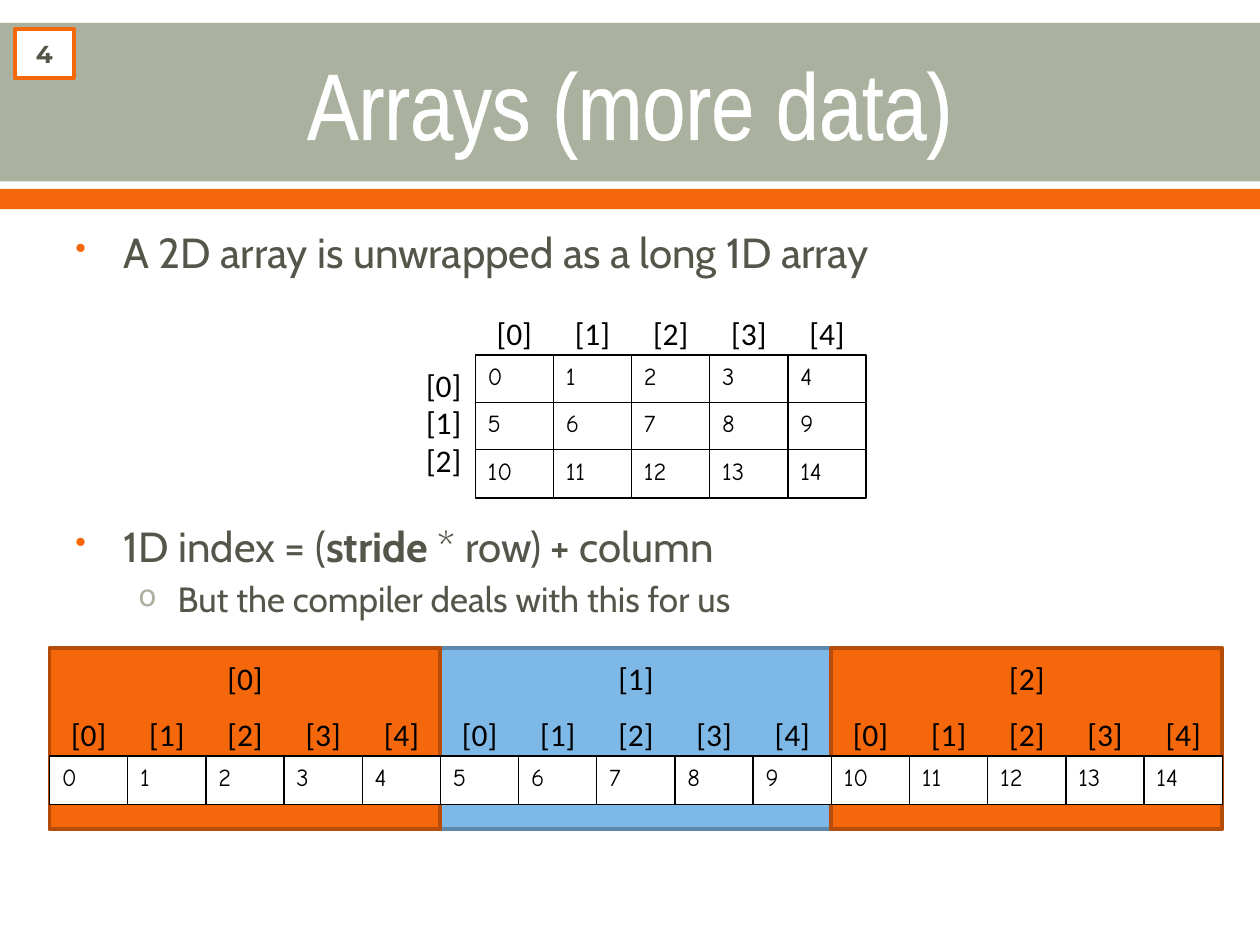
from dataclasses import dataclass

from lxml.etree import SubElement
from pptx import Presentation
from pptx.dml.color import RGBColor
from pptx.enum.shapes import MSO_SHAPE
from pptx.enum.text import MSO_ANCHOR, PP_ALIGN
from pptx.oxml.ns import qn
from pptx.util import Cm, Pt


@dataclass(frozen=True)
class Theme:
    """Colours, fonts and type sizes of the slide."""
    white: str = "FFFFFF"
    black: str = "000000"
    sage: str = "ABB19F"
    orange: str = "F4680B"
    dark_orange: str = "B54D08"
    blue: str = "7EB8E7"
    dark_blue: str = "5D88AB"
    ink: str = "55554A"
    title_font: str = "Arial Narrow"
    body_font: str = "Cabin"
    index_font: str = "Calibri"
    value_font: str = "Comic Neue"
    number_font: str = "Montserrat"
    title_size: int = 54
    body_size: int = 24
    sub_size: int = 20
    index_size: int = 18
    value_size: int = 14


THEME = Theme()
ROWS, STRIDE = 3, 5
BLOCK_WIDTH = 7.88
CELL_WIDTH, CELL_HEIGHT, ROW_PITCH = BLOCK_WIDTH / STRIDE, 0.98, 0.95
GRID_LEFT, GRID_TOP = 9.58, 7.16
FLAT_LEFT, FLAT_TOP = 1.0, 15.24


def style_runs(paragraph, font_name, size, color, bold=False):
    """Format every run of a paragraph."""
    for run in paragraph.runs:
        run.font.name = font_name
        run.font.size = Pt(size)
        run.font.bold = bold
        run.font.color.rgb = RGBColor.from_string(color)


def add_box(slide, left, top, width, height, fill, line=None, weight=2.22):
    """Add a flat rectangle, outlined when a line colour is given."""
    box = slide.shapes.add_shape(MSO_SHAPE.RECTANGLE, Cm(left), Cm(top), Cm(width), Cm(height))
    box.shadow.inherit = False
    box.fill.solid()
    box.fill.fore_color.rgb = RGBColor.from_string(fill)
    if line:
        box.line.color.rgb = RGBColor.from_string(line)
        box.line.width = Pt(weight)
    else:
        box.line.fill.background()
    return box


def write_in_box(box, text, font_name, size, color, align, anchor, bold=False):
    """Write one line of text inside a rectangle."""
    frame = box.text_frame
    frame.text = text
    frame.vertical_anchor = anchor
    frame.paragraphs[0].alignment = align
    style_runs(frame.paragraphs[0], font_name, size, color, bold)


def add_text_frame(slide, left, top, width, height):
    """Add a wrapping text box and return its frame."""
    frame = slide.shapes.add_textbox(Cm(left), Cm(top), Cm(width), Cm(height)).text_frame
    frame.word_wrap = True
    return frame


def add_heading(slide):
    """Add the two bands, the title over them and the slide number."""
    title = slide.shapes.title
    for top, height, color in ((0.46, 3.2, THEME.sage), (3.81, 0.41, THEME.orange)):
        band = add_box(slide, 0, top, 25.4, height, color)
        title.element.addprevious(band.element)
    title.left, title.top, title.width, title.height = Cm(1.27), Cm(0.51), Cm(22.86), Cm(3.1)
    write_in_box(title, "Arrays (more data)", THEME.title_font, THEME.title_size,
                 THEME.white, PP_ALIGN.CENTER, MSO_ANCHOR.MIDDLE)
    outline = title.text_frame.paragraphs[0].runs[0].font.fill
    run_properties = title.text_frame.paragraphs[0].runs[0]._r.get_or_add_rPr()
    outline = SubElement(run_properties, qn("a:ln"), w=str(Pt(1.1)))
    SubElement(SubElement(outline, qn("a:solidFill")), qn("a:srgbClr"), val=THEME.white)
    run_properties.insert(0, outline)
    number = add_box(slide, 0.3, 0.58, 1.19, 0.99, THEME.white, THEME.orange)
    write_in_box(number, "4", THEME.number_font, THEME.value_size, THEME.ink,
                 PP_ALIGN.CENTER, MSO_ANCHOR.MIDDLE, bold=True)


def add_bullet(paragraph, parts, size, space, margin, indent, mark, mark_color, mark_size):
    """Fill a bulleted paragraph from (text, bold) parts."""
    for text, bold in parts:
        run = paragraph.add_run()
        run.text = text
    style_runs(paragraph, THEME.body_font, size, THEME.ink)
    for run, (text, bold) in zip(paragraph.runs, parts):
        run.font.bold = bold
    paragraph.space_before = Pt(space)
    properties = paragraph._p.get_or_add_pPr()
    properties.set("marL", str(Cm(margin)))
    properties.set("indent", str(Cm(indent)))
    SubElement(SubElement(properties, qn("a:buClr")), qn("a:srgbClr"), val=mark_color)
    SubElement(properties, qn("a:buSzPct"), val=str(mark_size * 1000))
    SubElement(properties, qn("a:buChar"), char=mark)


def add_explanation(slide):
    """Add the bullets, leaving room for the grid after the first one."""
    frame = add_text_frame(slide, 1.27, 4.45, 22.86, 13.87)
    main_style = (0.97, -0.97, "•", THEME.orange, 75)
    sub_style = (2.06, -0.79, "o", THEME.sage, 85)
    formula = [("1D index = (", False), ("stride", True), (" * row) + column", False)]
    add_bullet(frame.paragraphs[0], [("A 2D array is unwrapped as a long 1D array", False)],
               THEME.body_size, 5, *main_style)
    add_bullet(frame.add_paragraph(), formula, THEME.body_size, 139, *main_style)
    add_bullet(frame.add_paragraph(), [("But the compiler deals with this for us", False)],
               THEME.sub_size, 4, *sub_style)


def add_cells(slide, left, top, first_value):
    """Add one row of array cells holding consecutive values."""
    for column in range(STRIDE):
        cell = add_box(slide, left + column * CELL_WIDTH, top, CELL_WIDTH, CELL_HEIGHT,
                       THEME.white, THEME.black, 0.75)
        write_in_box(cell, str(first_value + column), THEME.value_font, THEME.value_size,
                     THEME.black, PP_ALIGN.LEFT, MSO_ANCHOR.TOP)


def add_column_indices(slide, left, cells_top):
    """Add the column indices, each centred over its cell by a tab stop."""
    frame = add_text_frame(slide, left, cells_top - 1.06, BLOCK_WIDTH, 1.12)
    frame.margin_left = frame.margin_right = 0
    frame.margin_top = Cm(0.23)
    frame.text = "".join(f"\t[{column}]" for column in range(STRIDE))
    indices = frame.paragraphs[0]
    indices.alignment = PP_ALIGN.LEFT
    indices.space_before = Pt(1)
    style_runs(indices, THEME.index_font, THEME.index_size, THEME.black)
    stops = SubElement(indices._p.get_or_add_pPr(), qn("a:tabLst"))
    for column in range(STRIDE):
        SubElement(stops, qn("a:tab"), pos=str(Cm((column + 0.5) * CELL_WIDTH)), algn="ctr")


def add_grid(slide):
    """Add the two-dimensional array with its row and column indices."""
    frame = add_text_frame(slide, 7.47, 7.14, 2.26, 3.48)
    frame.margin_left = frame.margin_right = Cm(0.43)
    frame.margin_top = frame.margin_bottom = Cm(0.23)
    frame.text = "\n".join(f"[{row}]" for row in range(ROWS))
    for row_index in frame.paragraphs:
        row_index.alignment = PP_ALIGN.RIGHT
        style_runs(row_index, THEME.index_font, THEME.index_size, THEME.black)
    add_column_indices(slide, GRID_LEFT, GRID_TOP)
    for row in range(ROWS):
        add_cells(slide, GRID_LEFT, GRID_TOP + row * ROW_PITCH, row * STRIDE)


def add_flat_array(slide):
    """Add the unwrapped array, one coloured block for each row."""
    orange, blue = (THEME.orange, THEME.dark_orange), (THEME.blue, THEME.dark_blue)
    lefts = [FLAT_LEFT + row * BLOCK_WIDTH for row in range(ROWS)]
    for row, colors in ((1, blue), (2, orange), (0, orange)):
        block = add_box(slide, lefts[row], 13.06, BLOCK_WIDTH, 3.66, *colors)
        block.text_frame.margin_top = Cm(0.23)
        write_in_box(block, f"[{row}]", THEME.index_font, THEME.index_size, THEME.black,
                     PP_ALIGN.CENTER, MSO_ANCHOR.TOP)
    for row, left in enumerate(lefts):
        add_column_indices(slide, left, FLAT_TOP)
        add_cells(slide, left, FLAT_TOP, row * STRIDE)


def main():
    """Build the slide and save it."""
    presentation = Presentation()
    presentation.slide_width, presentation.slide_height = Cm(25.4), Cm(19.05)
    slide = presentation.slides.add_slide(presentation.slide_layouts[5])
    add_heading(slide)
    add_explanation(slide)
    add_grid(slide)
    add_flat_array(slide)
    presentation.save("out.pptx")


if __name__ == "__main__":
    main()
